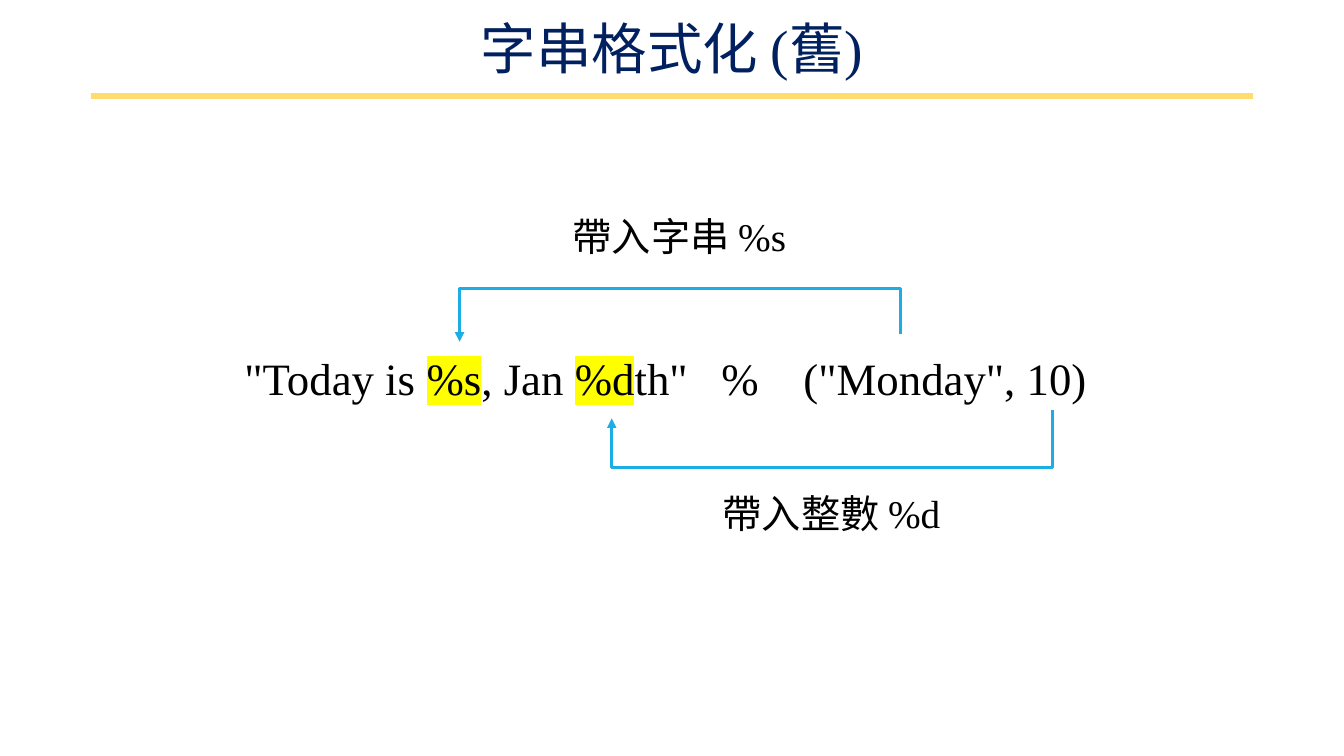
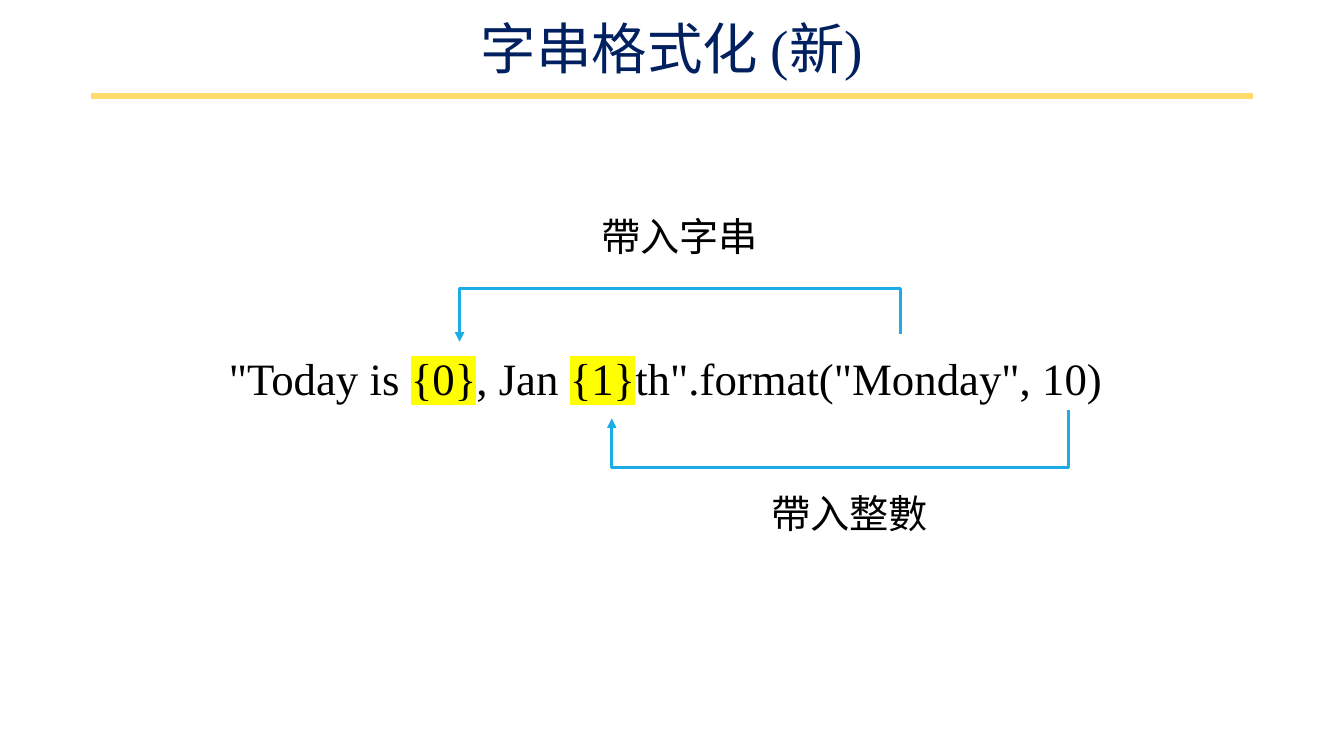
import dataclasses
import typing

import pptx
import pptx.dml.color
import pptx.enum.shapes
import pptx.enum.text
import pptx.oxml.ns
import pptx.oxml.xmlchemy
import pptx.util
from lxml import etree

Pt = pptx.util.Pt
qn = pptx.oxml.ns.qn

HUES = {
    "title": "002060",
    "rule": "FFDC6D",
    "text": "000000",
    "mark": "FFFF00",
    "link": "1CADE4",
}
FACE = "Times New Roman"
TITLE = {"line_spacing": 0.9}
CODE = {"space_after": Pt(12)}


@dataclasses.dataclass(frozen=True)
class Box:
    left: float
    top: float
    width: float
    height: float


@dataclasses.dataclass(frozen=True)
class Link:
    """A bent arrow from (x1, y1) to (x2, y2), level at y = bend."""
    x1: float
    y1: float
    x2: float
    y2: float
    bend: float


@dataclasses.dataclass(frozen=True)
class Page:
    title: str
    code: tuple[str, ...]  # every second piece is marked
    upper: str
    lower: str
    mid: float  # centre of the lower label
    tip: float  # start of the lower link


PAGES = (
    Page("字串格式化 (舊)",
         ('"Today is ', "%s", ", Jan ", "%d", 'th"   %    ("Monday", 10) '),
         "帶入字串 %s", "帶入整數 %d", 594, 751.7),
    Page("字串格式化 (新)",
         ('"Today is ', "{0}", ", Jan ", "{1}", 'th".format("Monday", 10) '),
         "帶入字串", "帶入整數", 607, 763.2),
)


def color(key: str) -> pptx.dml.color.RGBColor:
    return pptx.dml.color.RGBColor.from_string(HUES[key])


def apply(target: typing.Any, values: dict[str, typing.Any]) -> None:
    for name, value in values.items():
        setattr(target, name, value)


def mark(run: typing.Any) -> None:
    """Highlight a run whose colour and font are already set."""
    light = etree.Element(qn("a:highlight"))
    etree.SubElement(light, qn("a:srgbClr"), val=HUES["mark"])
    run.font._element.find(qn("a:latin")).addprevious(light)


def add_text(slide: typing.Any, box: Box, parts: tuple[str, ...], size: float,
             hue: str = "text", style: dict[str, typing.Any] | None = None,
             frame: dict[str, typing.Any] | None = None) -> None:
    area = slide.shapes.add_textbox(
        Pt(box.left), Pt(box.top), Pt(box.width), Pt(box.height)).text_frame
    apply(area, {"word_wrap": True, **(frame or {})})
    para = area.paragraphs[0]
    apply(para, {"alignment": pptx.enum.text.PP_ALIGN.CENTER, **(style or {})})
    for spot, part in enumerate(parts):
        run = para.add_run()
        run.text = part
        apply(run.font, {"size": Pt(size), "name": FACE})
        run.font.color.rgb = color(hue)
        if spot % 2:
            mark(run)


def add_label(slide: typing.Any, mid: float, top: float, text: str) -> None:
    add_text(slide, Box(mid - 132, top, 264, 41), (text,), 28)


def add_line(slide: typing.Any, kind: typing.Any, ends: tuple[float, ...],
             hue: str, width: float) -> typing.Any:
    line = slide.shapes.add_connector(kind, *(Pt(end) for end in ends))
    line.line.color.rgb = color(hue)
    line.line.width = Pt(width)
    etree.SubElement(line._element.spPr, qn("a:effectLst"))
    return line


def add_link(slide: typing.Any, link: Link) -> None:
    """Draw the elbow on its side, then turn it so both ends run vertically."""
    mid_x, mid_y = (link.x1 + link.x2) / 2, (link.y1 + link.y2) / 2
    half_w, half_h = (link.y2 - link.y1) / 2, (link.x1 - link.x2) / 2
    ends = (mid_x + half_w, mid_y + half_h, mid_x - half_w, mid_y - half_h)
    elbow = add_line(slide, pptx.enum.shapes.MSO_CONNECTOR.ELBOW, ends, "link", 2.25)
    props = elbow._element.spPr
    props.find(qn("a:xfrm")).set("rot", str(270 * 60000))
    shift = round((link.bend - link.y1) / (link.y2 - link.y1) * 100000)
    guides = props.find(qn("a:prstGeom")).find(qn("a:avLst"))
    etree.SubElement(guides, qn("a:gd"), name="adj1", fmla=f"val {shift}")
    etree.SubElement(props.find(qn("a:ln")), qn("a:tailEnd"), type="triangle")


def add_page(deck: typing.Any, page: Page) -> None:
    slide = deck.slides.add_slide(deck.slide_layouts[6])
    add_line(slide, pptx.enum.shapes.MSO_CONNECTOR.STRAIGHT,
             (65, 68.4, 895, 68.4), "rule", 4.5)
    add_text(slide, Box(66, 13, 828, 47.5), (page.title,), 39.6, "title", TITLE,
             {"vertical_anchor": pptx.enum.text.MSO_ANCHOR.MIDDLE})
    add_text(slide, Box(120, 247, 719, 46), page.code, 32, style=CODE)
    add_link(slide, Link(643, 238.3, 328.3, 244, 206))
    add_link(slide, Link(page.tip, 293, 437, 298.8, 334))
    add_label(slide, 485.3, 148.3, page.upper)
    add_label(slide, page.mid, 346.3, page.lower)


def main() -> None:
    deck = pptx.Presentation()
    apply(deck, {"slide_width": Pt(960), "slide_height": Pt(540)})
    for page in PAGES:
        add_page(deck, page)
    deck.save("out.pptx")


if __name__ == "__main__":
    main()
